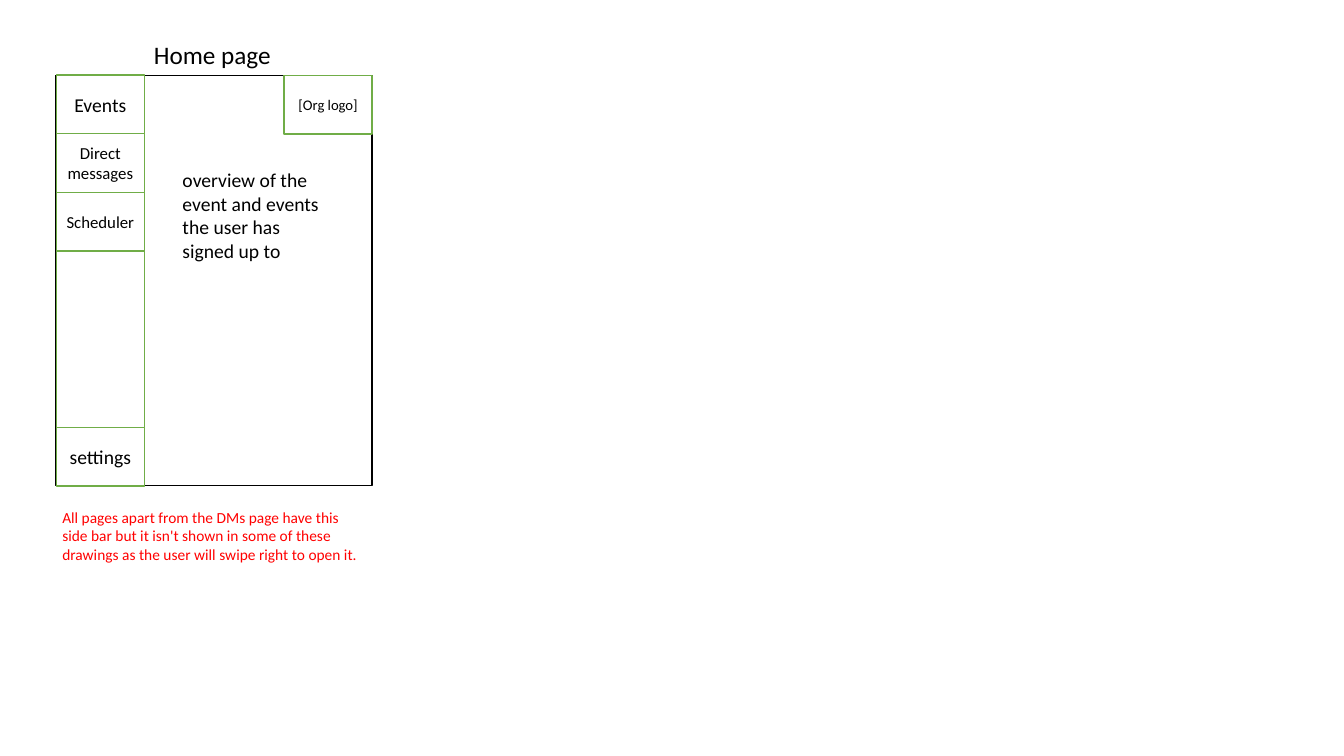
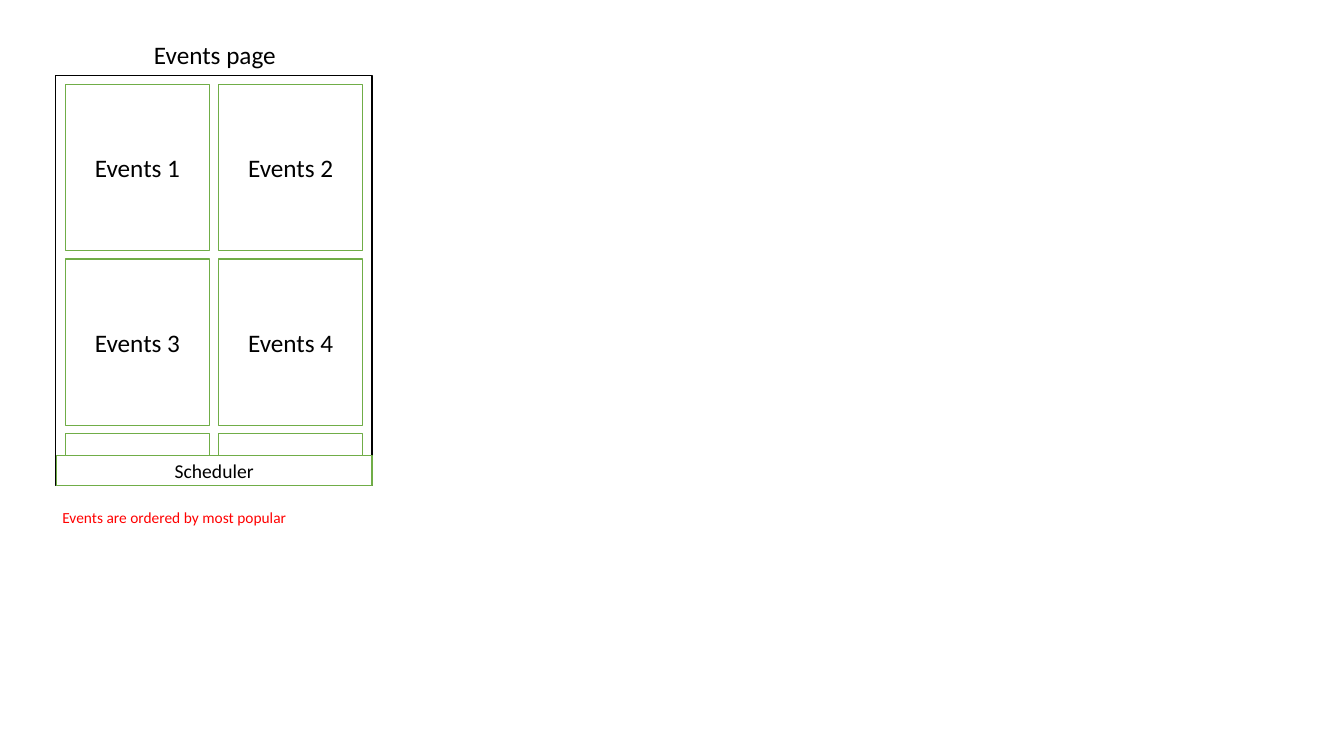
from dataclasses import dataclass

from pptx import Presentation
from pptx.dml.color import RGBColor
from pptx.enum.text import MSO_ANCHOR, MSO_AUTO_SIZE, PP_ALIGN
from pptx.enum.shapes import MSO_SHAPE
from pptx.slide import Slide
from pptx.text.text import TextFrame
from pptx.util import Cm, Pt

RECT = MSO_SHAPE.RECTANGLE
MIDDLE = MSO_ANCHOR.MIDDLE
CENTER, LEFT = PP_ALIGN.CENTER, PP_ALIGN.LEFT
GROW = MSO_AUTO_SIZE.SHAPE_TO_FIT_TEXT

# Shared look
FONT = "Calibri"
BLACK = RGBColor(0x00, 0x00, 0x00)
WHITE = RGBColor(0xFF, 0xFF, 0xFF)
GREEN = RGBColor(0x70, 0xAD, 0x47)
RED = RGBColor(0xFF, 0x00, 0x00)


@dataclass(frozen=True)
class Area:
    """A place on the slide, in centimetres."""
    left: float
    top: float
    width: float
    height: float

    def cm(self) -> tuple[Cm, Cm, Cm, Cm]:
        return Cm(self.left), Cm(self.top), Cm(self.width), Cm(self.height)


@dataclass(frozen=True)
class Box:
    """An outlined box with an optional centred label."""
    area: Area
    text: str = ""
    size: float = 18
    line: RGBColor = GREEN


@dataclass(frozen=True)
class Label:
    """Free text without an outline."""
    area: Area
    text: str
    size: float
    color: RGBColor = BLACK
    wrap: bool = True


PHONE = Area(1.4, 1.9, 7.98, 10.34)


def write(frame: TextFrame, text: str, size: float, color: RGBColor,
          align: PP_ALIGN) -> None:
    frame.text = text
    for para in frame.paragraphs:
        para.alignment = align
        for run in para.runs:
            run.font.name = FONT
            run.font.size = Pt(size)
            run.font.color.rgb = color


def draw_box(slide: Slide, box: Box) -> None:
    shape = slide.shapes.add_shape(RECT, *box.area.cm())
    shape.shadow.inherit = False
    shape.fill.solid()
    shape.fill.fore_color.rgb = WHITE
    shape.line.color.rgb = box.line
    shape.line.width = Pt(1)
    if box.text:
        frame = shape.text_frame
        frame.word_wrap = True
        frame.vertical_anchor = MIDDLE
        write(frame, box.text, box.size, BLACK, CENTER)


def draw_label(slide: Slide, label: Label) -> None:
    frame = slide.shapes.add_textbox(*label.area.cm()).text_frame
    frame.word_wrap = label.wrap
    frame.auto_size = GROW
    write(frame, label.text, label.size, label.color, LEFT)


def add_page(deck: Presentation, title: Label, note: Label,
             boxes: list[Box]) -> Slide:
    """Draw a phone page with its title above and its note below."""
    slide = deck.slides.add_slide(deck.slide_layouts[6])
    for box in [Box(PHONE, line=BLACK), *boxes]:
        draw_box(slide, box)
    for label in (title, note):
        draw_label(slide, label)
    return slide


def make_title(text: str, width: float) -> Label:
    return Label(Area(3.63, 0.86, width, 1.02), text, 18, wrap=False)


def make_note(text: str, height: float) -> Label:
    return Label(Area(1.32, 12.67, 8.1, height), text, 11, RED)


# Side bar: rows stacked in units of one button height
BAR_LEFT, BAR_TOP = 1.42, 1.89
BUTTON_W, BUTTON_H = 2.22, 1.48
MENU = [
    ("Events", 14, 1),
    ("Direct messages", 12, 1),
    ("Scheduler", 12, 1),
    ("", 12, 3),
    ("settings", 14, 1),
]


def make_menu() -> list[Box]:
    boxes, row = [], 0
    for text, size, span in MENU:
        area = Area(BAR_LEFT, BAR_TOP + row * BUTTON_H,
                    BUTTON_W, span * BUTTON_H)
        boxes.append(Box(area, text, size))
        row += span
    return boxes


# Event cards: two columns, the last row cut off by the bottom bar
CARD_LEFT, CARD_TOP = 1.65, 2.13
CARD_W, CARD_H = 3.63, 4.19
STEP_X, STEP_Y = 3.86, 4.4
COLS, ROWS = 2, 3
FOOT = Area(1.42, 11.48, 7.96, 0.76)


def make_cards() -> list[Box]:
    boxes = []
    for row in range(ROWS):
        top = CARD_TOP + row * STEP_Y
        high = min(CARD_H, FOOT.top - top)
        for col in range(COLS):
            full = high == CARD_H
            text = f"Events\u00a0{row * COLS + col + 1}" if full else ""
            area = Area(CARD_LEFT + col * STEP_X, top, CARD_W, high)
            boxes.append(Box(area, text))
    return boxes


deck = Presentation()
deck.slide_width, deck.slide_height = Cm(33.87), Cm(19.05)

# Home page
logo = Box(Area(7.16, 1.9, BUTTON_W, BUTTON_H), "[Org logo]", 10.5)
home = add_page(
    deck,
    make_title("Home page", 3.5),
    make_note("All pages apart from the DMs page\u00a0have this side bar but it "
              "isn't shown in some of these drawings as the user will swipe "
              "right to open it.", 1.68),
    [logo, *make_menu()],
)
draw_label(home, Label(
    Area(4.35, 4.11, 4.27, 2.64),
    "overview of the event and events the user has signed up to", 14))

# Events page
add_page(
    deck,
    make_title("Events page", 3.63),
    make_note("Events are ordered by most popular", 0.74),
    [Box(FOOT, "Scheduler", 14), *make_cards()],
)

deck.save("out.pptx")
